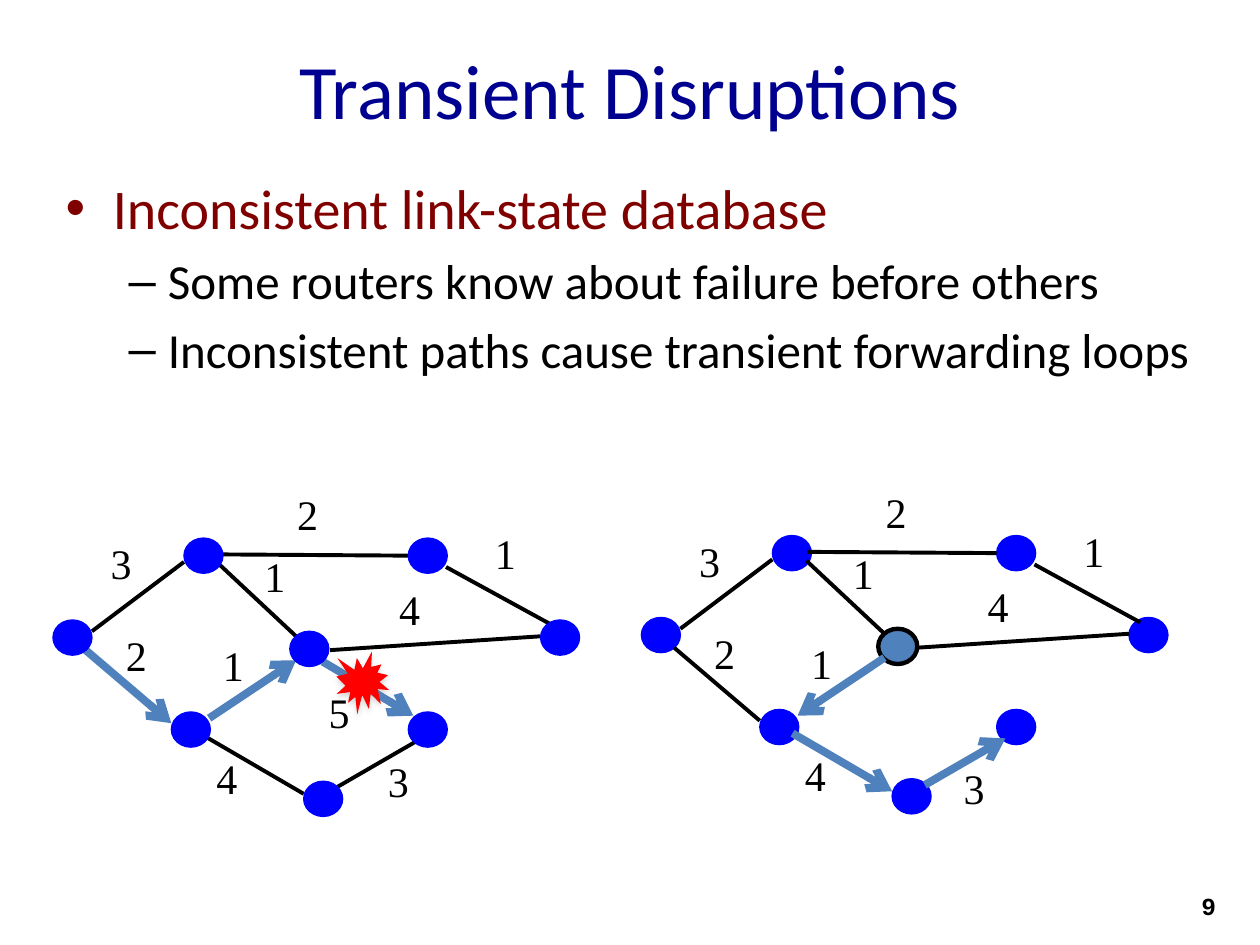
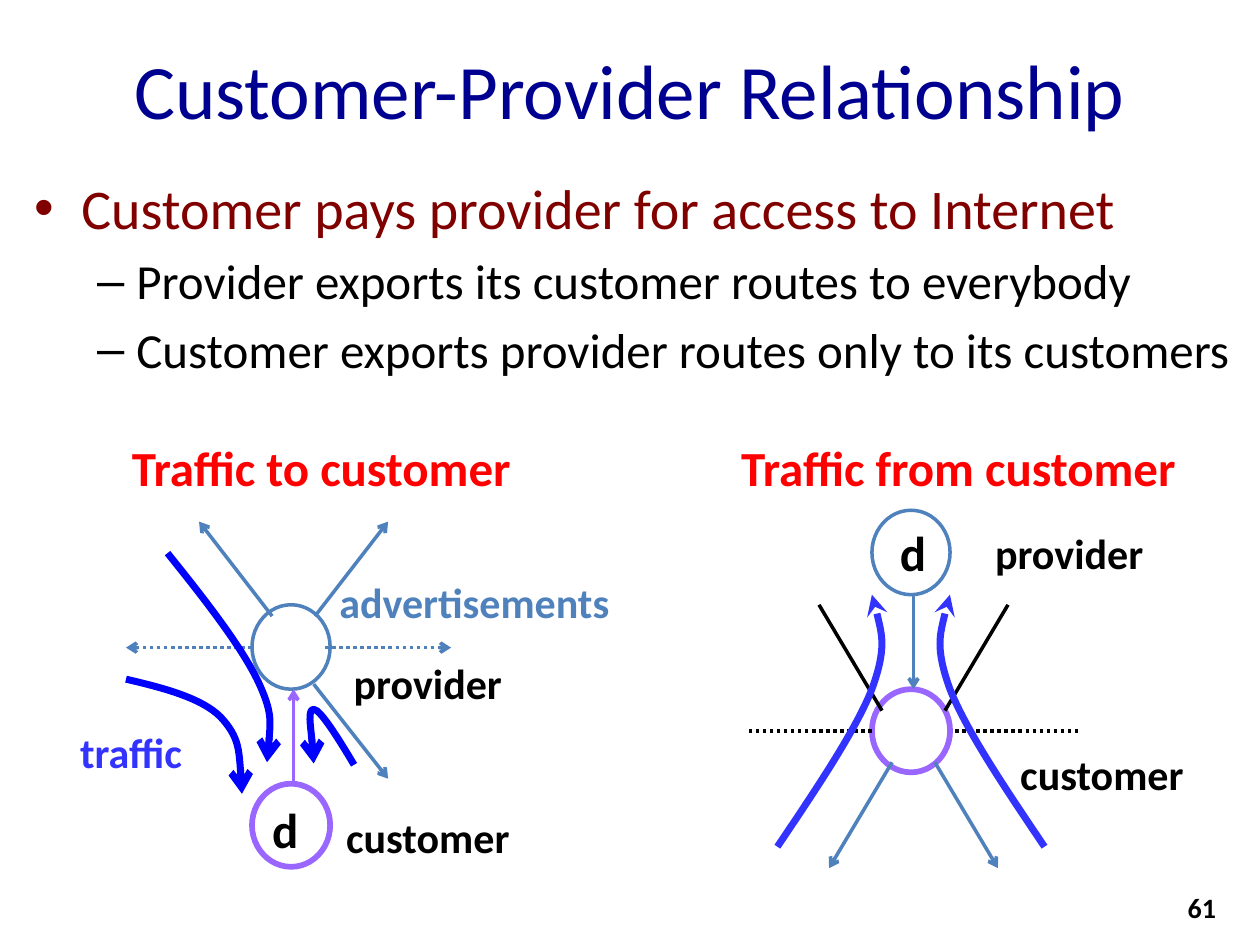
from dataclasses import dataclass

from lxml.etree import SubElement
from pptx import Presentation
from pptx.dml.color import RGBColor
from pptx.enum.dml import MSO_LINE
from pptx.enum.shapes import MSO_CONNECTOR, MSO_SHAPE as Preset
from pptx.enum.text import MSO_ANCHOR, MSO_AUTO_SIZE as AutoSize, PP_ALIGN as Align
from pptx.oxml.ns import qn
from pptx.util import Pt

EMU_PER_PX = 9144


def px(length):
    return length * EMU_PER_PX


@dataclass(frozen=True)
class Theme:
    navy: str = "000090"
    maroon: str = "800000"
    black: str = "000000"
    steel: str = "4F81BD"
    blue: str = "0000FF"
    indigo: str = "3333FF"
    violet: str = "9966FF"
    red: str = "FF0000"
    gray: str = "808080"
    font: str = "Calibri"
    weight_font: str = "Times New Roman"
    number_font: str = "Courier New"
    title: int = 44
    lead: int = 32
    point: int = 28
    label: int = 24


class Deck:
    def __init__(self, theme):
        self.theme = theme
        self.presentation = Presentation()
        self.presentation.slide_width = px(1000)
        self.presentation.slide_height = px(750)
        self.slide = None

    def run(self, paragraph, text, size, color, font=None, bold=False):
        run = paragraph.add_run()
        run.text = text
        run.font.size = Pt(size)
        run.font.name = font or self.theme.font
        run.font.bold = bold
        run.font.color.rgb = RGBColor.from_string(color)

    def place(self, shape, box):
        shape.left, shape.top, shape.width, shape.height = map(px, box)

    def new_slide(self, title, lead, points, body_box):
        theme = self.theme
        self.slide = self.presentation.slides.add_slide(self.presentation.slide_layouts[1])
        heading, body = self.slide.placeholders
        self.place(heading, (50, 8, 900, 125))
        heading.text_frame.vertical_anchor = MSO_ANCHOR.MIDDLE
        paragraph = heading.text_frame.paragraphs[0]
        paragraph.alignment = Align.CENTER
        self.run(paragraph, title, theme.title, theme.navy)
        self.place(body, body_box)
        body.text_frame.auto_size = AutoSize.NONE
        paragraph = body.text_frame.paragraphs[0]
        paragraph.space_before = Pt(0)
        self.run(paragraph, lead, theme.lead, theme.maroon)
        for point in points:
            paragraph = body.text_frame.add_paragraph()
            paragraph.level = 1
            self.run(paragraph, point, theme.point, theme.black)

    def text(self, words, box, size, color, font=None, bold=True, align=Align.CENTER, wrap=False):
        label = self.slide.shapes.add_textbox(*map(px, box))
        frame = label.text_frame
        frame.word_wrap = wrap
        frame.auto_size = AutoSize.NONE if wrap else AutoSize.SHAPE_TO_FIT_TEXT
        paragraph = frame.paragraphs[0]
        paragraph.alignment = align
        self.run(paragraph, words, size, color, font, bold)

    def page_number(self, number, size, font):
        self.text(number, (742, 702, 233, 40), size, self.theme.black, font,
                  align=Align.RIGHT, wrap=True)

    def stroke(self, line, color, width, arrows=None, dash=None):
        line.color.rgb = RGBColor.from_string(color)
        line.width = Pt(width)
        if dash:
            line.dash_style = dash
        for end, kind in (arrows or {}).items():
            SubElement(line._get_or_add_ln(), qn(f"a:{end}"), type=kind)

    def shape(self, preset, box, fill=None, line=None, width=0.75):
        figure = self.slide.shapes.add_shape(preset, *map(px, box))
        figure.shadow.inherit = False
        if fill:
            figure.fill.solid()
            figure.fill.fore_color.rgb = RGBColor.from_string(fill)
        else:
            figure.fill.background()
        if line:
            self.stroke(figure.line, line, width)
        else:
            figure.line.fill.background()
        return figure

    def burst(self, box):
        effects = self.shape(Preset.EXPLOSION1, box, self.theme.red)._element.spPr.find(qn("a:effectLst"))
        shadow = SubElement(effects, qn("a:outerShdw"), blurRad=str(Pt(3.1)),
                            dist=str(Pt(1.8)), dir="5400000", rotWithShape="0")
        tint = SubElement(shadow, qn("a:srgbClr"), val=self.theme.gray)
        SubElement(tint, qn("a:alpha"), val="35000")

    def line(self, ends, color, width=2, arrows=None, dash=None):
        link = self.slide.shapes.add_connector(MSO_CONNECTOR.STRAIGHT, *map(px, ends))
        self.stroke(link.line, color, width, arrows, dash)
        SubElement(link._element.spPr, qn("a:effectLst"))

    def curve(self, points, color, arrow):
        builder = self.slide.shapes.build_freeform(*points[0], scale=EMU_PER_PX)
        builder.add_line_segments(points[1:], close=False)
        flow = builder.convert_to_shape()
        flow.shadow.inherit = False
        flow.fill.background()
        self.stroke(flow.line, color, 4, {"tailEnd": arrow})
        segments = list(flow._element.iter(qn("a:lnTo")))
        for first in range(0, len(segments), 3):
            trio = segments[first:first + 3]
            outline = trio[0].getparent()
            bezier = SubElement(outline, qn("a:cubicBezTo"))
            for segment in trio:
                bezier.append(segment[0])
                outline.remove(segment)


ROUTERS = {
    "west": (42, 492), "southwest": (136, 565), "northwest": (146, 427), "middle": (230, 501),
    "southeast": (324, 565), "northeast": (324, 427), "south": (241, 620), "east": (429, 492),
}
LINKS = {
    "west-northwest": (73, 501, 146, 446), "west-southwest": (68, 516, 136, 574),
    "northwest-middle": (173, 447, 235, 505), "southwest-south": (162, 584, 241, 630),
    "southwest-middle": (166, 570, 235, 524), "middle-southeast": (256, 525, 328, 568),
    "south-southeast": (267, 625, 331, 588), "middle-east": (262, 516, 429, 505),
    "northwest-northeast": (174, 440, 324, 441), "northeast-east": (354, 450, 438, 496),
}
WEIGHTS = {
    "west-northwest": ("3", 78, 422), "northwest-northeast": ("2", 226, 383),
    "west-southwest": ("2", 90, 495), "northwest-middle": ("1", 200, 432),
    "southwest-middle": ("1", 167, 503), "middle-east": ("4", 307, 458),
    "northeast-east": ("1", 383, 414), "southwest-south": ("4", 162, 592),
    "middle-southeast": ("5", 251, 540), "south-southeast": ("3", 298, 595),
}


def draw_routers(deck, dx, dy, informed):
    theme = deck.theme
    for router, (x, y) in ROUTERS.items():
        box = (x + dx, y + dy, 31, 28)
        if router == informed:
            deck.shape(Preset.OVAL, box, theme.steel, theme.black, 2.5)
        else:
            deck.shape(Preset.OVAL, box, theme.blue, theme.blue)


def draw_links(deck, dx, dy, route, failed):
    theme = deck.theme
    for link, (x1, y1, x2, y2) in LINKS.items():
        if link == failed:
            continue
        ends = (x1 + dx, y1 + dy, x2 + dx, y2 + dy)
        if link in route:
            deck.line(ends, theme.steel, 4.5, {route[link]: "arrow"})
        else:
            deck.line(ends, theme.black, 2.25)


def draw_weights(deck, dx, dy, failed, moved):
    for link, (weight, x, y) in WEIGHTS.items():
        if link != failed:
            shift_x, shift_y = moved.get(link, (0, 0))
            deck.text(weight, (x + dx + shift_x, y + dy + shift_y, 37, 50), deck.theme.label,
                      deck.theme.black, deck.theme.weight_font, False, Align.LEFT)


def transient_disruptions(deck):
    deck.new_slide("Transient Disruptions", "Inconsistent link-state database",
                   ["Some routers know about failure before others",
                    "Inconsistent paths cause transient forwarding loops"],
                   (42, 133, 933, 537))
    failed = "middle-southeast"
    after = (467, -2)
    draw_routers(deck, *after, "middle")
    draw_links(deck, *after, {"southwest-south": "tailEnd", "southwest-middle": "headEnd",
                              "south-southeast": "tailEnd"}, failed)
    draw_weights(deck, *after, failed, {"south-southeast": (-10, 7)})
    deck.page_number("9", 14, deck.theme.number_font)
    before = (0, 0)
    draw_links(deck, *before, dict.fromkeys(["west-southwest", "southwest-middle", failed],
                                            "tailEnd"), None)
    draw_weights(deck, *before, None, {})
    draw_routers(deck, *before, None)
    deck.burst((267, 517, 42, 50))


def traffic_from_customer(deck):
    theme = deck.theme
    arrow = {"tailEnd": "arrow"}
    deck.shape(Preset.OVAL, (692, 405, 62, 67), None, theme.steel, 2)
    deck.shape(Preset.OVAL, (692, 547, 62, 66), None, theme.violet, 3.25)
    deck.line((725, 472, 725, 547), theme.steel, arrows=arrow)
    deck.text("d", (704, 410, 41, 57), theme.point, theme.black)
    hub, axis = 725, 723
    for side in (-1, 1):
        deck.line((hub + 33 * side, 580, hub + 133 * side, 580), theme.black,
                  dash=MSO_LINE.ROUND_DOT)
        deck.line((hub + 75 * side, 480, hub + 25 * side, 564), theme.black)
        deck.line((hub + 17 * side, 605, hub + 67 * side, 689), theme.steel, arrows=arrow)
        flow = ((106, 672), (75, 626), (44, 580), (31, 547), (19, 514), (25, 493), (31, 472))
        deck.curve([(axis + x * side, y) for x, y in flow], theme.indigo, "stealth")
    deck.text("provider", (779, 414, 139, 51), theme.label, theme.black)
    deck.text("customer", (799, 589, 151, 51), theme.label, theme.black)
    deck.text("Traffic from customer", (576, 342, 369, 57), theme.point, theme.red)


def traffic_to_customer(deck):
    theme = deck.theme
    arrow = {"tailEnd": "arrow"}
    deck.shape(Preset.OVAL, (200, 622, 62, 66), None, theme.violet, 3.25)
    deck.shape(Preset.OVAL, (200, 480, 62, 67), None, theme.steel, 2)
    deck.line((233, 622, 233, 547), theme.violet, arrows=arrow)
    deck.text("d", (206, 630, 41, 57), theme.point, theme.black)
    for side in (-1, 1):
        deck.line((229 + 29 * side, 514, 229 + 129 * side, 514), theme.steel,
                  arrows=arrow, dash=MSO_LINE.ROUND_DOT)
        deck.line((233 + 17 * side, 489, 233 + 75 * side, 414), theme.steel, arrows=arrow)
    deck.line((249, 543, 308, 618), theme.steel, arrows=arrow)
    deck.text("advertisements", (258, 453, 237, 51), theme.label, theme.steel)
    for flow in (
        [(133, 439), (162, 475), (190, 511), (204, 539), (217, 566), (214, 586), (212, 605)],
        [(100, 539), (130, 546), (160, 554), (175, 569), (190, 585), (191, 607), (192, 630)],
        [(281, 607), (268, 585), (254, 563), (249, 563), (244, 563), (249, 599), (249, 606)],
    ):
        deck.curve(flow, theme.blue, "arrow")
    deck.text("traffic", (25, 572, 158, 51), theme.label, theme.indigo, wrap=True)
    deck.text("customer", (264, 639, 151, 51), theme.label, theme.black)
    deck.text("provider", (270, 517, 139, 51), theme.label, theme.black)
    deck.text("Traffic to customer", (93, 342, 324, 57), theme.point, theme.red)


def customer_provider(deck):
    deck.new_slide("Customer-Provider Relationship",
                   "Customer pays provider for access to Internet",
                   ["Provider exports its customer routes to everybody",
                    "Customer exports provider routes only to its customers"],
                   (17, 133, 975, 208))
    traffic_from_customer(deck)
    traffic_to_customer(deck)
    deck.page_number("61", 16, deck.theme.font)


def main():
    deck = Deck(Theme())
    transient_disruptions(deck)
    customer_provider(deck)
    deck.presentation.save("out.pptx")


if __name__ == "__main__":
    main()
